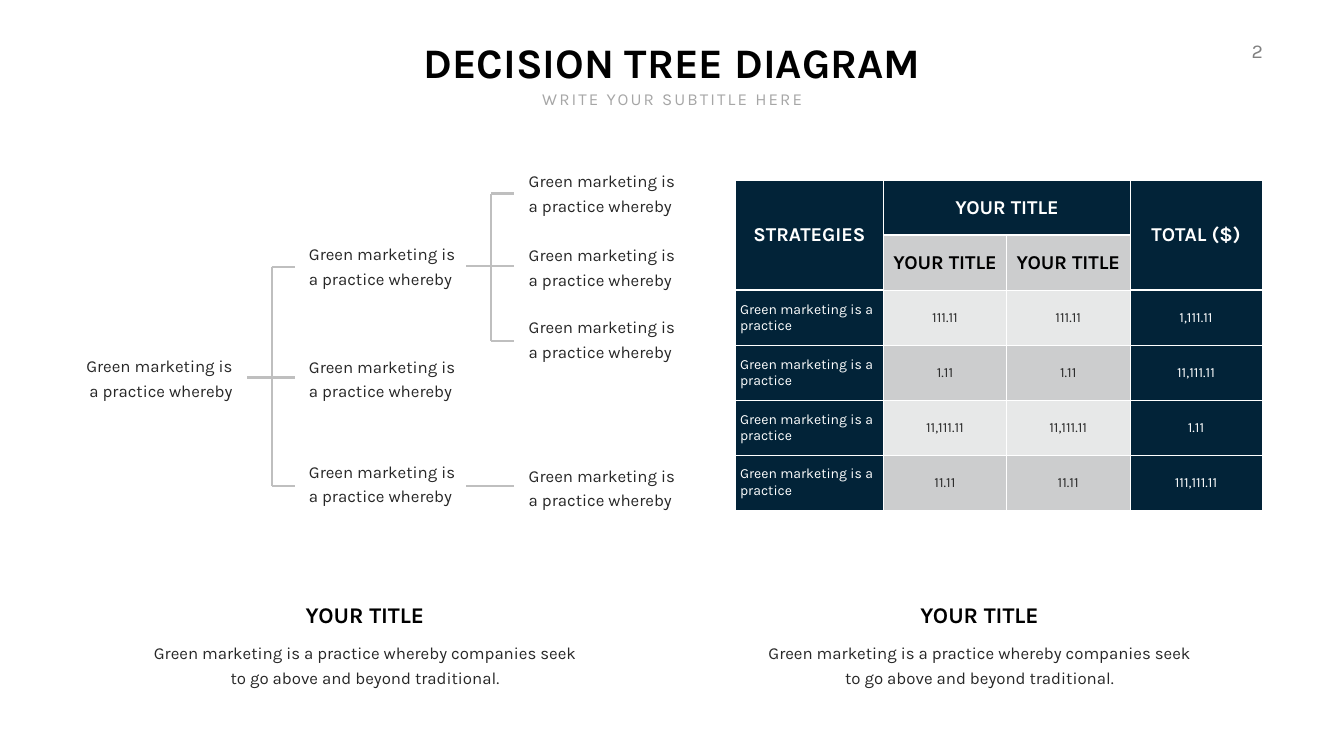
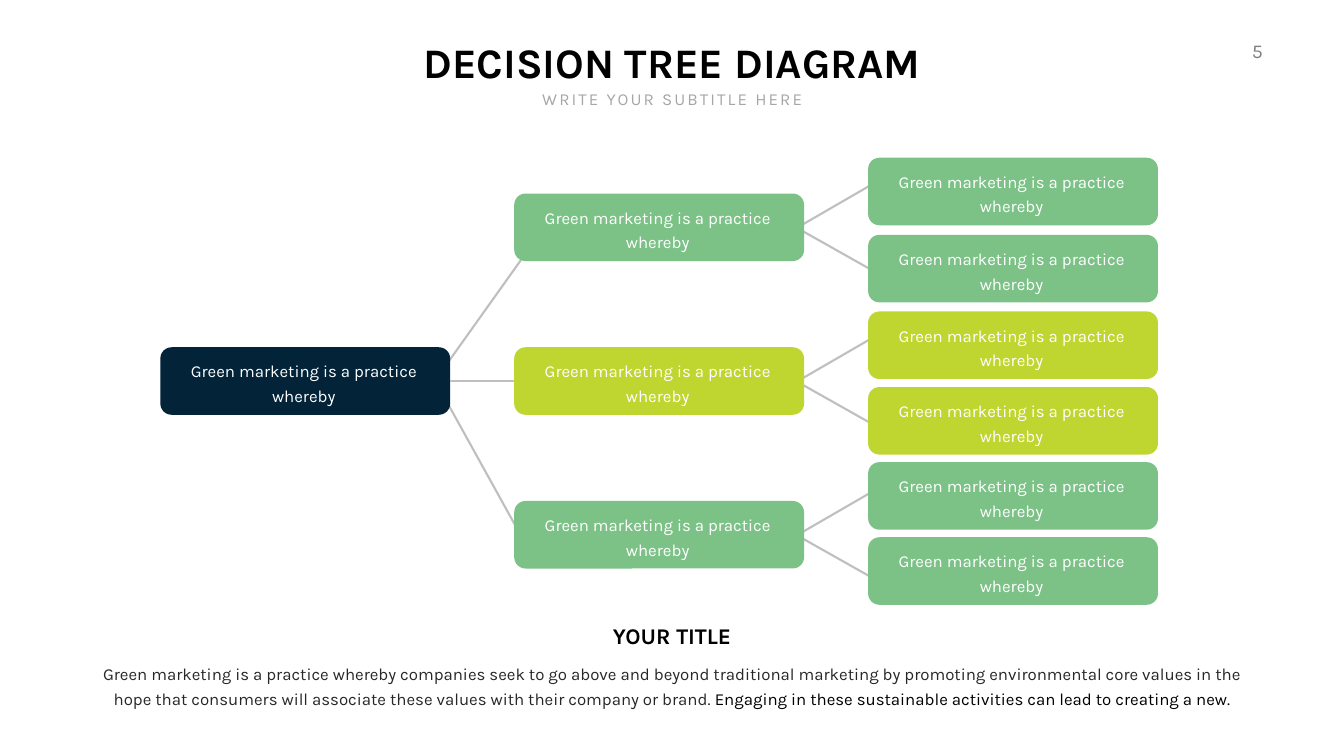
from lxml.etree import SubElement
from pptx import Presentation
from pptx.dml.color import RGBColor
from pptx.enum.shapes import MSO_CONNECTOR as Conn, MSO_SHAPE as Shape
from pptx.enum.text import MSO_ANCHOR as Anchor, MSO_AUTO_SIZE as Auto, PP_ALIGN as Align
from pptx.oxml import parse_xml
from pptx.oxml.ns import nsdecls, qn
from pptx.util import Inches, Pt

W, H = 26.66, 15
COLORS = {"navy": "022338", "green": "7CC287", "lime": "BED62F", "line": "BFBFBF",
          "light": "E7E8E8", "mid": "CCCDCE", "text": "272727", "black": "000000",
          "white": "FFFFFF", "subtitle": "A6A6A6", "number": "808080"}
FORMATS = {
    "title": {"size": Pt(60), "bold": True},
    "subtitle": {"size": Pt(24), "bold": False},
    "number": {"size": Pt(28), "bold": False},
    "heading": {"size": Pt(32), "bold": True},
    "body": {"size": Pt(24), "bold": False},
    "table head": {"size": Pt(28), "bold": True},
    "table body": {"size": Pt(20), "bold": False},
}
TRACKED = ("subtitle", "number")

TITLE = "DECISION TREE DIAGRAM"
SUBTITLE = "WRITE YOUR SUBTITLE HERE"
HEADING = "YOUR TITLE"
LABEL = "Green marketing is a practice whereby"
SHORT_NOTE = "Green marketing is a practice whereby companies seek to go above and beyond traditional."
LONG_NOTE = ("Green marketing is a practice whereby companies seek to go above and beyond "
             "traditional marketing by promoting environmental core values in the hope that "
             "consumers will associate these values with their company or brand. ")
LONG_NOTE_END = "Engaging in these sustainable activities can lead to creating a new."

TREE_LABELS = [(1.57, [6.95], Align.RIGHT),
               (6.03, [4.73, 6.96, 9.04], Align.LEFT),
               (10.39, [3.28, 4.75, 6.17, 9.12], Align.LEFT)]
BRACKETS = [(4.9, [5.29, 7.49, 9.65]), (9.25, [3.84, 5.28, 6.76]), (9.25, [9.65])]
SPINE, REACH = 0.49, 0.95

PRACTICE = "Green marketing is a practice"
TABLE = [
    ["STRATEGIES", HEADING, "", "TOTAL ($)"],
    ["", HEADING, HEADING, ""],
    [PRACTICE, "111.11", "111.11", "1,111.11"],
    [PRACTICE, "1.11", "1.11", "11,111.11"],
    [PRACTICE, "11,111.11", "11,111.11", "1.11"],
    [PRACTICE, "11.11", "11.11", "111,111.11"],
]
COL_WIDTHS = [2.95, 2.43, 2.46, 2.61]
ROW_HEIGHT = 1.09
MERGES = [(0, 0, 1, 0), (0, 1, 0, 2), (0, 3, 1, 3)]

NODE_W, NODE_H = 5.75, 1.34
COLUMNS = [3.18, 10.2, 17.22]
BRANCH_TOPS = [3.84 + 3.05 * i for i in range(3)]
BRANCH_COLORS = ["green", "lime", "green"]
LEAF_TOPS = [3.13, 4.66, 6.18, 7.68, 9.17, 10.66]
ROOT_LINES = [(8.68, 7.48, 10.54, 4.87), (8.84, 7.93, 10.39, 10.73)]
LEAF_LINES = [(-0.06, -0.83), (0.08, 0.83)]


def rgb(name):
    return RGBColor.from_string(COLORS[name])


def add_run(p, text, style, color):
    r = p.add_run()
    r.text = text
    for key, value in {"name": "Karla", **FORMATS[style]}.items():
        setattr(r.font, key, value)
    r.font.color.rgb = rgb(color)
    if style in TRACKED:
        r._r.get_or_add_rPr().set("spc", "300")


def add_text(s, box, runs, style, align=Align.CENTER, wrap=False, anchor=Anchor.TOP,
             inset=(0.1, 0.05)):
    tf = s.shapes.add_textbox(*map(Inches, box)).text_frame
    dx, dy = map(Inches, inset)
    frame = {"word_wrap": wrap, "auto_size": Auto.SHAPE_TO_FIT_TEXT, "vertical_anchor": anchor,
             "margin_left": dx, "margin_right": dx, "margin_top": dy, "margin_bottom": dy}
    for key, value in frame.items():
        setattr(tf, key, value)
    p = tf.paragraphs[0]
    p.alignment = align
    if style == "body":
        p.line_spacing = Pt(35)
    for text, color in runs:
        add_run(p, text, style, color)


def add_label(s, x, y, w, color, align=Align.CENTER):
    add_text(s, (x, y, w, 1.03), [(LABEL, color)], "body", align, True, Anchor.MIDDLE)


def add_note(s, center, y, w, runs):
    add_text(s, (center - 1.34, y, 2.68, 0.64), [(HEADING, "black")], "heading")
    add_text(s, (center - w / 2, y + 0.67, w, 1.17), runs, "body", wrap=True, inset=(0.24, 0.12))


def add_line(s, x1, y1, x2, y2):
    line = s.shapes.add_connector(Conn.STRAIGHT, *map(Inches, (x1, y1, x2, y2)))
    line.line.color.rgb = rgb("line")
    line.line.width = Pt(3)
    SubElement(line._element.spPr, qn("a:effectLst"))
    return line


def add_bracket(s, x, ys):
    middle = ys[len(ys) // 2]
    for y in ys:
        add_line(s, x if y == middle else x + SPINE, y, x + REACH, y)
    if len(ys) > 1:
        add_line(s, x + SPINE, ys[0], x + SPINE, ys[-1])


def add_node(s, x, y, color):
    sp = s.shapes.add_shape(Shape.ROUNDED_RECTANGLE, *map(Inches, (x, y, NODE_W, NODE_H)))
    sp.shadow.inherit = False
    sp.fill.solid()
    sp.fill.fore_color.rgb = rgb(color)
    sp.line.fill.background()
    add_label(s, x + 0.34, y + 0.16, 5.01, "white")
    return sp


def add_borders(cell, bottom):
    tcPr = cell._tc.get_or_add_tcPr()
    for i, (side, width) in enumerate(zip("LRTB", (1, 1, 1, bottom))):
        tcPr.insert(i, parse_xml(
            f'<a:ln{side} {nsdecls("a")} w="{Pt(width)}"><a:solidFill>'
            f'<a:srgbClr val="{COLORS["white"]}"/></a:solidFill></a:ln{side}>'))


def add_strategy_table(s):
    box = (14.58, 3.58, sum(COL_WIDTHS), ROW_HEIGHT * len(TABLE))
    table = s.shapes.add_table(len(TABLE), len(COL_WIDTHS), *map(Inches, box)).table
    table.first_row = table.horz_banding = False
    for column, width in zip(table.columns, COL_WIDTHS):
        column.width = Inches(width)
    for row in table.rows:
        row.height = Inches(ROW_HEIGHT)
    for r, values in enumerate(TABLE):
        for c, value in enumerate(values):
            cell = table.cell(r, c)
            dark = r == 0 or c in (0, 3)
            cell.fill.solid()
            cell.fill.fore_color.rgb = rgb("navy" if dark else "mid" if r % 2 else "light")
            add_borders(cell, 3 if r == 0 or (r == 1 and dark) else 1)
            cell.vertical_anchor = Anchor.MIDDLE
            p = cell.text_frame.paragraphs[0]
            p.alignment = Align.LEFT if c == 0 and r > 1 else Align.CENTER
            if value:
                color = "white" if dark else "black" if r == 1 else "text"
                add_run(p, value, "table head" if r < 2 else "table body", color)
    for r1, c1, r2, c2 in MERGES:
        table.cell(r1, c1).merge(table.cell(r2, c2))


def new_slide(prs, number):
    s = prs.slides.add_slide(prs.slide_layouts[6])
    add_text(s, (24.27, 0.72, 0.88, 0.57), [(number, "number")], "number", Align.RIGHT)
    add_text(s, (8.03, 0.67, 10.6, 1.11), [(TITLE, "black")], "title")
    add_text(s, (10.62, 1.72, 5.43, 0.5), [(SUBTITLE, "subtitle")], "subtitle")
    return s


def build_tree_with_table(prs):
    s = new_slide(prs, "2")
    for x, tops, align in TREE_LABELS:
        for y in tops:
            add_label(s, x, y, 3.14, "text", align)
    for x, ys in BRACKETS:
        add_bracket(s, x, ys)
    for center in (7.24, 19.43):
        add_note(s, center, 11.88, 8.86, [(SHORT_NOTE, "text")])
    add_strategy_table(s)


def build_node_tree(prs):
    s = new_slide(prs, "5")
    for ends in ROOT_LINES:
        add_line(s, *ends)
    for top in BRANCH_TOPS:
        center = top + NODE_H / 2
        for start, end in LEAF_LINES:
            add_line(s, 15.93, center + start, 17.26, center + end)
    root = add_node(s, COLUMNS[0], BRANCH_TOPS[1], "navy")
    branches = [add_node(s, COLUMNS[1], y, color) for y, color in zip(BRANCH_TOPS, BRANCH_COLORS)]
    for i, y in enumerate(LEAF_TOPS):
        add_node(s, COLUMNS[2], y, BRANCH_COLORS[i // 2])
    center = BRANCH_TOPS[1] + NODE_H / 2
    link = add_line(s, COLUMNS[0] + NODE_W, center, COLUMNS[1], center)
    link.begin_connect(root, 3)
    link.end_connect(branches[1], 1)
    add_note(s, W / 2, 12.3, 23.33, [(LONG_NOTE, "text"), (LONG_NOTE_END, "black")])


def main():
    prs = Presentation()
    prs.slide_width, prs.slide_height = Inches(W), Inches(H)
    build_tree_with_table(prs)
    build_node_tree(prs)
    prs.save("out.pptx")


if __name__ == "__main__":
    main()
